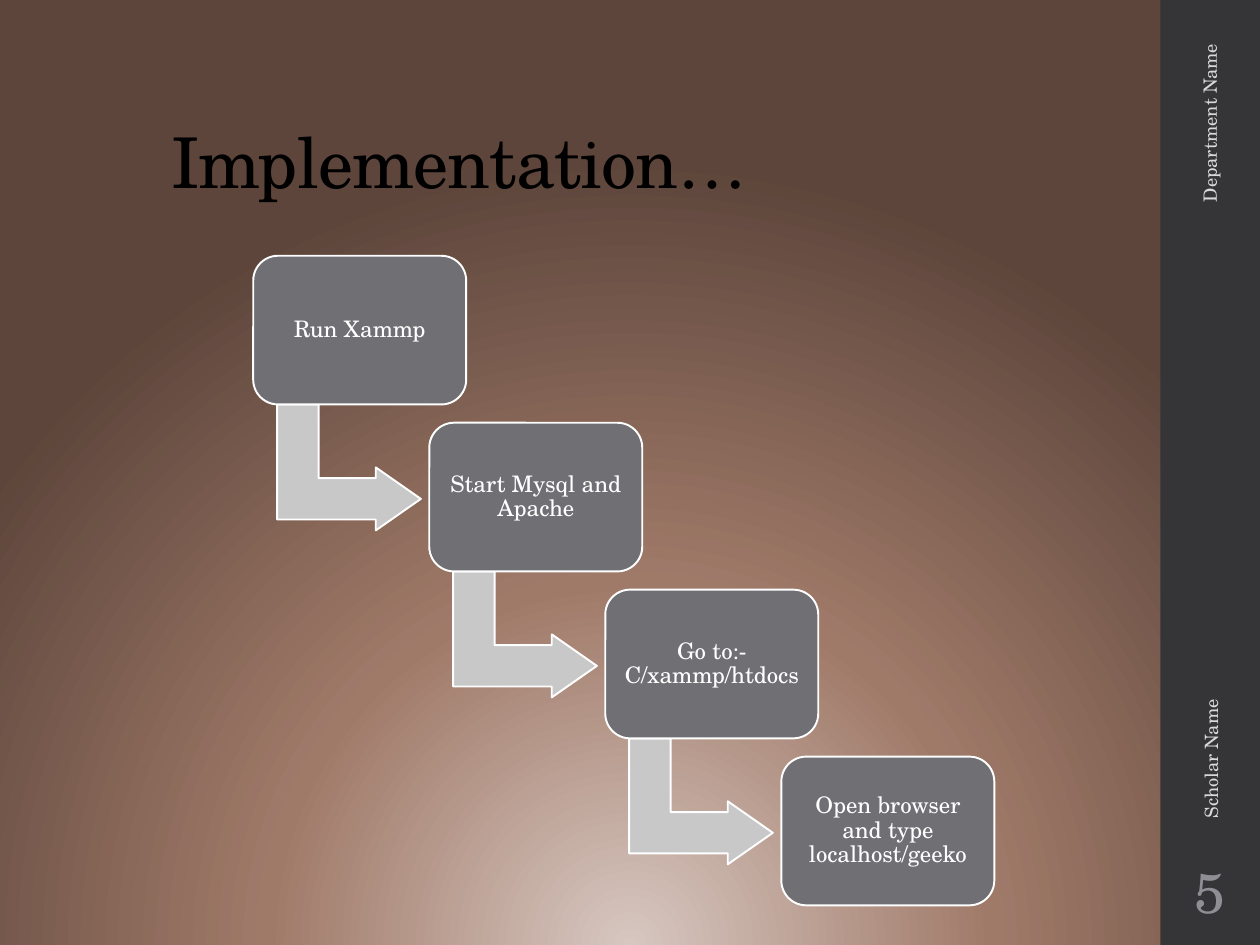
from lxml.etree import fromstring
from pptx import Presentation
from pptx.dml.color import RGBColor
from pptx.enum.shapes import MSO_SHAPE
from pptx.enum.text import MSO_ANCHOR, MSO_AUTO_SIZE, PP_ALIGN
from pptx.oxml.ns import nsdecls
from pptx.util import Inches, Pt

# Content
TITLE = "Implementation…"
STEPS = [
    "Run Xammp",
    "Start Mysql and Apache",
    "Go to:- C/xammp/htdocs",
    "Open browser and type localhost/geeko",
]
# Side labels: text, box, turn, size, colour, alignment, side inset
GREY, MIST = RGBColor(0x8E, 0x8E, 0x94), RGBColor(0xD9, 0xD9, 0xDB)
LABELS = [
    ("Department Name", (8.56, 1.14, 2.08, 0.3), 270, 10.5, MIST, PP_ALIGN.RIGHT, 0.1),
    ("Scholar Name", (7.65, 4.48, 3.92, 0.3), 270, 10.5, MIST, PP_ALIGN.LEFT, 0.1),
    ("5", (9.23, 6.75, 0.75, 0.65), 0, 32, GREY, PP_ALIGN.CENTER, 0.03),
]

# Style
FONT = "TeX Gyre Schola"
BLACK = RGBColor(0, 0, 0)
WHITE = RGBColor(0xFF, 0xFF, 0xFF)
DARK = RGBColor(0x35, 0x35, 0x37)
SLATE = RGBColor(0x6F, 0x6F, 0x74)
SILVER = RGBColor(0xC8, 0xC8, 0xC9)
GLOW = [(0, "D7C7C0"), (46, "A07A69"), (100, "5D453B")]

# Staircase: first box, step to the next, arrow offset from its box
LEFT, TOP, WIDE, HIGH = 2.01, 2.03, 1.69, 1.18
STEP_X, STEP_Y = 1.397, 1.325
ARROW_X, ARROW_Y, ARROW_W, ARROW_H = 0.26, 1.11, 1, 1.14


def write(shape, text, size, color, align, anchor, inset, line=1.0):
    frame = shape.text_frame
    frame.word_wrap = True
    frame.auto_size = MSO_AUTO_SIZE.NONE
    frame.vertical_anchor = anchor
    frame.margin_left = frame.margin_right = Inches(inset)
    frame.margin_top = frame.margin_bottom = Inches(0.05)
    para = frame.paragraphs[0]
    para.alignment = align
    para.line_spacing = line
    run = para.add_run()
    run.text = text
    run.font.name = FONT
    run.font.size = Pt(size)
    run.font.color.rgb = color
    return run


def draw(kind, box, fill, edge=None):
    shape = slide.shapes.add_shape(kind, *map(Inches, box))
    shape.shadow.inherit = False
    shape.fill.solid()
    shape.fill.fore_color.rgb = fill
    if edge is None:
        shape.line.fill.background()
    else:
        shape.line.color.rgb = edge
        shape.line.width = Pt(1.1)
    return shape


deck = Presentation()
deck.slide_width, deck.slide_height = Inches(10), Inches(7.5)
slide = deck.slides.add_slide(deck.slide_layouts[5])

# Background: round glow from the bottom edge
slide.background.fill.gradient()
grad = slide.element.xpath(".//p:bg//a:gradFill")[0]
stops = "".join(
    f'<a:gs pos="{pos * 1000}"><a:srgbClr val="{color}"/></a:gs>' for pos, color in GLOW
)
grad.getparent().replace(grad, fromstring(
    f'<a:gradFill {nsdecls("a")} rotWithShape="1"><a:gsLst>{stops}</a:gsLst>'
    '<a:path path="circle"><a:fillToRect l="50000" t="130000" r="50000" b="-30000"/>'
    "</a:path></a:gradFill>"
))

# Side band
draw(MSO_SHAPE.RECTANGLE, (9.21, 0, 0.79, 7.5), DARK)

# Title
title = slide.shapes.title
title.left, title.top = Inches(1.26), Inches(0.25)
title.width, title.height = Inches(8.5), Inches(1.42)
run = write(title, TITLE, 40, BLACK, PP_ALIGN.LEFT, MSO_ANCHOR.BOTTOM, 0.1, 0.9)
run.font._element.set("spc", "-50")

# Steps, each but the last with an arrow to the next
for i, text in enumerate(STEPS):
    x, y = LEFT + i * STEP_X, TOP + i * STEP_Y
    if i < len(STEPS) - 1:
        arrow = draw(MSO_SHAPE.BENT_UP_ARROW,
                     (x + ARROW_X, y + ARROW_Y, ARROW_W, ARROW_H), SILVER, WHITE)
        arrow.rotation = 90
        for j, ratio in enumerate((0.328, 0.25, 0.358)):
            arrow.adjustments[j] = ratio
    card = draw(MSO_SHAPE.ROUNDED_RECTANGLE, (x, y, WIDE, HIGH), SLATE, WHITE)
    write(card, text, 13, WHITE, PP_ALIGN.CENTER, MSO_ANCHOR.MIDDLE, 0.05, 0.9)

# Side labels and page number
for text, box, turn, size, color, align, inset in LABELS:
    label = slide.shapes.add_textbox(*map(Inches, box))
    label.rotation = turn
    write(label, text, size, color, align, MSO_ANCHOR.MIDDLE, inset)

deck.save("out.pptx")
